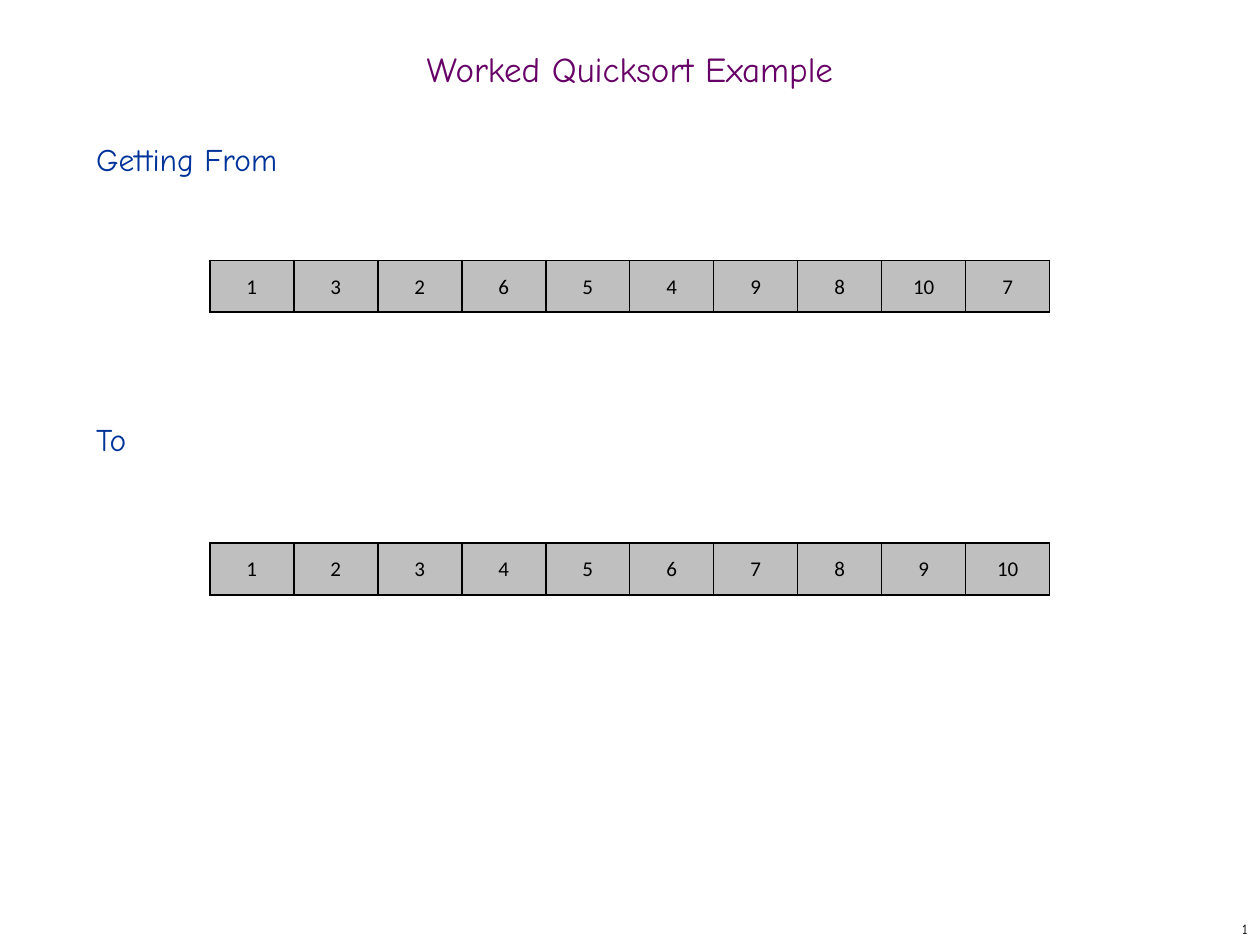
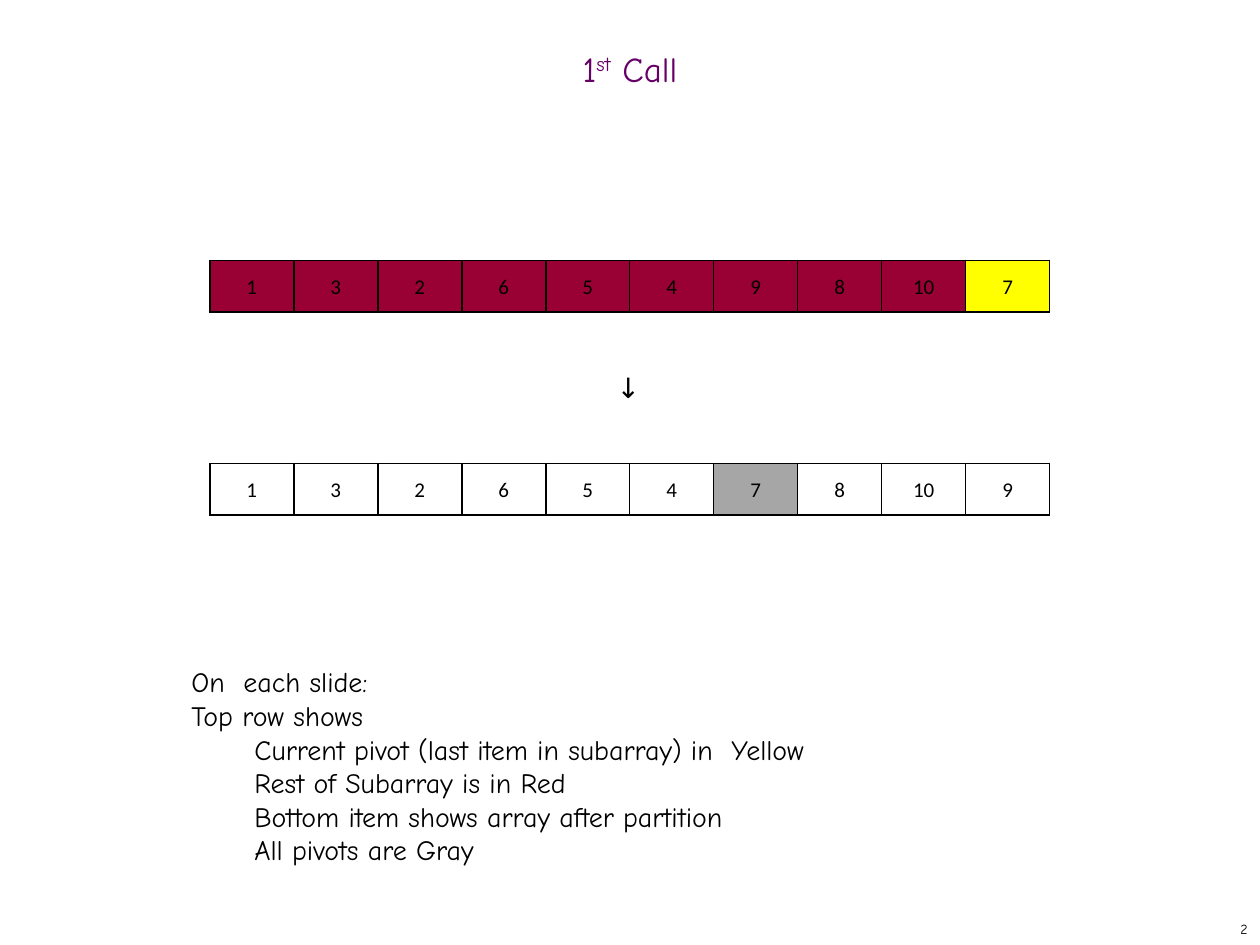
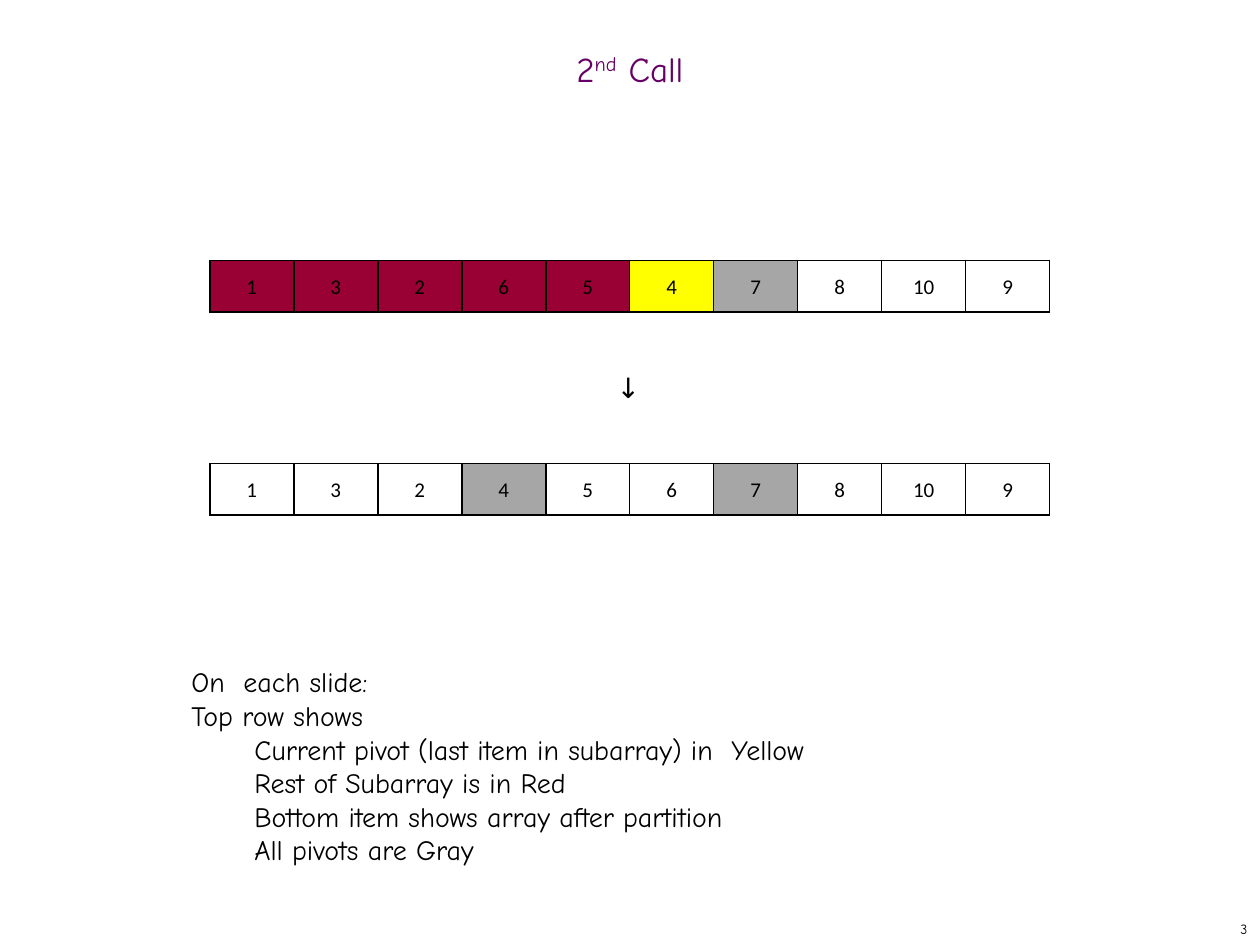
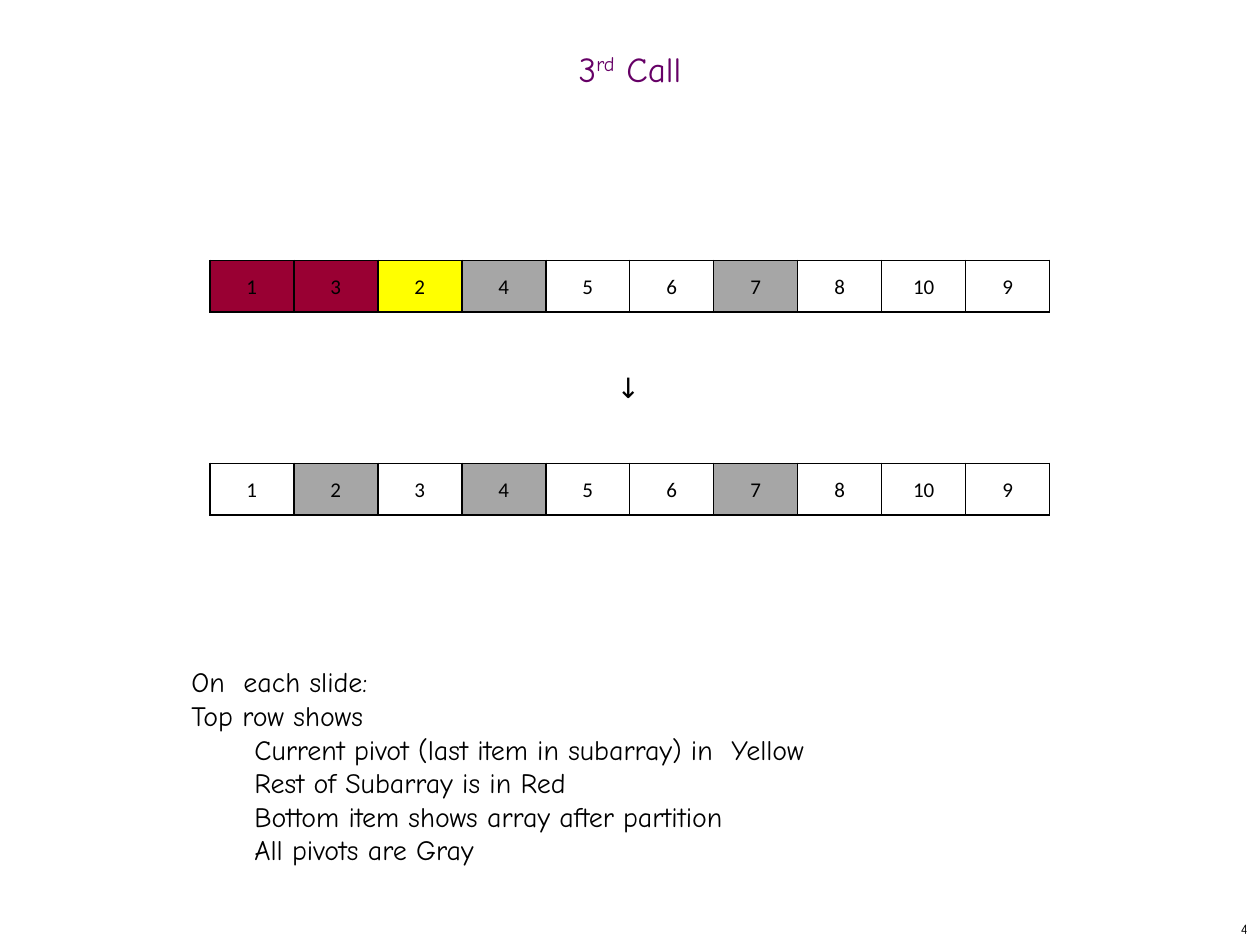
from lxml.etree import SubElement
from pptx import Presentation
from pptx.dml.color import RGBColor
from pptx.enum.text import MSO_ANCHOR, PP_ALIGN
from pptx.oxml.ns import qn
from pptx.util import Cm, Pt

PLUM = "660066"
BLUE = "003399"
BLACK = "000000"
RED = "990033"
YELLOW = "FFFF00"
PIVOT_GRAY = "A6A6A6"
LIGHT_GRAY = "BFBFBF"

# Each style: font size, colour, text frame values, paragraph values
STYLES = {
    "title": (20, PLUM, {"vertical_anchor": MSO_ANCHOR.MIDDLE},
              {"alignment": PP_ALIGN.CENTER, "line_spacing": 0.7}),
    "heading": (18, BLUE, {}, {"line_spacing": Pt(26), "space_before": Pt(12)}),
    "note": (16, BLACK, {}, {}),
    "arrow": (16, BLACK, {"word_wrap": False}, {}),
    "number": (8, BLACK, {"vertical_anchor": MSO_ANCHOR.MIDDLE},
               {"alignment": PP_ALIGN.RIGHT}),
}

CELL_FORMAT = {
    "vertical_anchor": MSO_ANCHOR.MIDDLE,
    "margin_left": Cm(0.03),
    "margin_right": Cm(0.03),
    "margin_top": Cm(0.03),
    "margin_bottom": 0,
}

ARRAY_TOP = 5.25
SORTED_TOP = 10.95
PARTITIONED_TOP = 9.34

# The array before the first call and after each call
STATES = [
    [1, 3, 2, 6, 5, 4, 9, 8, 10, 7],
    [1, 3, 2, 6, 5, 4, 7, 8, 10, 9],
    [1, 3, 2, 4, 5, 6, 7, 8, 10, 9],
    [1, 2, 3, 4, 5, 6, 7, 8, 10, 9],
]
PIVOTS = [7, 4, 2]
SUFFIXES = ["st", "nd", "rd"]

# Indent level and wording of each line
NOTES = [
    (0, "On  each slide:"),
    (0, "Top row shows "),
    (1, "Current pivot (last item in subarray) in  Yellow"),
    (1, "Rest of Subarray is in Red"),
    (1, "Bottom item shows array after partition"),
    (1, "All pivots are Gray"),
]


def add_text(slide, style, box, lines):
    """Add a text box; each line is a level and runs, a run being text and a raised flag."""
    size, color, frame_format, paragraph_format = STYLES[style]
    frame = slide.shapes.add_textbox(*(Cm(length) for length in box)).text_frame
    for name, value in {"word_wrap": True, **frame_format}.items():
        setattr(frame, name, value)
    for index, (level, runs) in enumerate(lines):
        paragraph = frame.add_paragraph() if index else frame.paragraphs[0]
        for name, value in paragraph_format.items():
            setattr(paragraph, name, value)
        if level:
            paragraph.level = level
            properties = paragraph._p.get_or_add_pPr()
            properties.set("marL", str(Cm(1.27) * level))
            properties.set("indent", "0")
        for text, raised in runs:
            run = paragraph.add_run()
            run.text = text
            for name, value in {"name": "Comic Neue", "size": Pt(size)}.items():
                setattr(run.font, name, value)
            run.font.color.rgb = RGBColor.from_string(color)
            if raised:
                run._r.get_or_add_rPr().set("baseline", "30000")


def add_array(slide, top, values, fills):
    """Draw an array as a one-row table; a fill of None leaves its cell clear."""
    table = slide.shapes.add_table(
        1, len(values), Cm(4.23), Cm(top), Cm(16.93), Cm(1.04)).table
    table.first_row = False
    table.horz_banding = False
    for cell, value, fill in zip(table.rows[0].cells, values, fills):
        for name, setting in CELL_FORMAT.items():
            setattr(cell, name, setting)
        for side in ("a:lnL", "a:lnR", "a:lnT", "a:lnB"):
            border = SubElement(cell._tc.get_or_add_tcPr(), qn(side), w=str(Pt(1)))
            SubElement(SubElement(border, qn("a:solidFill")), qn("a:srgbClr"), val=BLACK)
        if fill:
            cell.fill.solid()
            cell.fill.fore_color.rgb = RGBColor.from_string(fill)
        else:
            cell.fill.background()
        paragraph = cell.text_frame.paragraphs[0]
        paragraph.alignment = PP_ALIGN.CENTER
        run = paragraph.add_run()
        run.text = str(value)
        for name, setting in {"name": "Calibri", "size": Pt(12)}.items():
            setattr(run.font, name, setting)
        run.font.color.rgb = RGBColor.from_string(BLACK)


presentation = Presentation()
presentation.slide_width = Cm(25.4)
presentation.slide_height = Cm(19.05)
blank_layout = presentation.slide_layouts[6]

# Title and number on every slide
titles = [[("Worked Quicksort Example", False)]]
for number, suffix in enumerate(SUFFIXES, 1):
    titles.append([(str(number), False), (suffix, True), (" Call", False)])
for number, title in enumerate(titles, 1):
    slide = presentation.slides.add_slide(blank_layout)
    add_text(slide, "title", (0, 0.85, 25.4, 1.27), [(0, title)])
    add_text(slide, "number", (20.11, 18.42, 5.29, 0.63), [(0, [(str(number), False)])])

overview, *call_slides = presentation.slides

# Overview: the unsorted and the sorted array
for heading, heading_top, array_top, values in (
    ("Getting From", 2.54, ARRAY_TOP, STATES[0]),
    ("To", 8.18, SORTED_TOP, sorted(STATES[0])),
):
    add_text(overview, "heading", (1.69, heading_top, 21.8, 1.4), [(0, [(heading, False)])])
    add_array(overview, array_top, values, [LIGHT_GRAY] * len(values))

# Calls: each partitions the subarray that ends at its pivot
for call, slide in enumerate(call_slides):
    before, after = STATES[call], STATES[call + 1]
    pivot_index = before.index(PIVOTS[call])
    before_fills = [PIVOT_GRAY if value in PIVOTS[:call] else None for value in before]
    before_fills[:pivot_index + 1] = [RED] * pivot_index + [YELLOW]
    after_fills = [PIVOT_GRAY if value in PIVOTS[:call + 1] else None for value in after]
    add_array(slide, ARRAY_TOP, before, before_fills)
    add_array(slide, PARTITIONED_TOP, after, after_fills)
    add_text(slide, "arrow", (12.18, 7.34, 1.04, 0.94), [(0, [("↓", False)])])
    add_text(slide, "note", (3.61, 13.28, 20.29, 4.37),
             [(level, [(text, False)]) for level, text in NOTES])

presentation.save("out.pptx")
